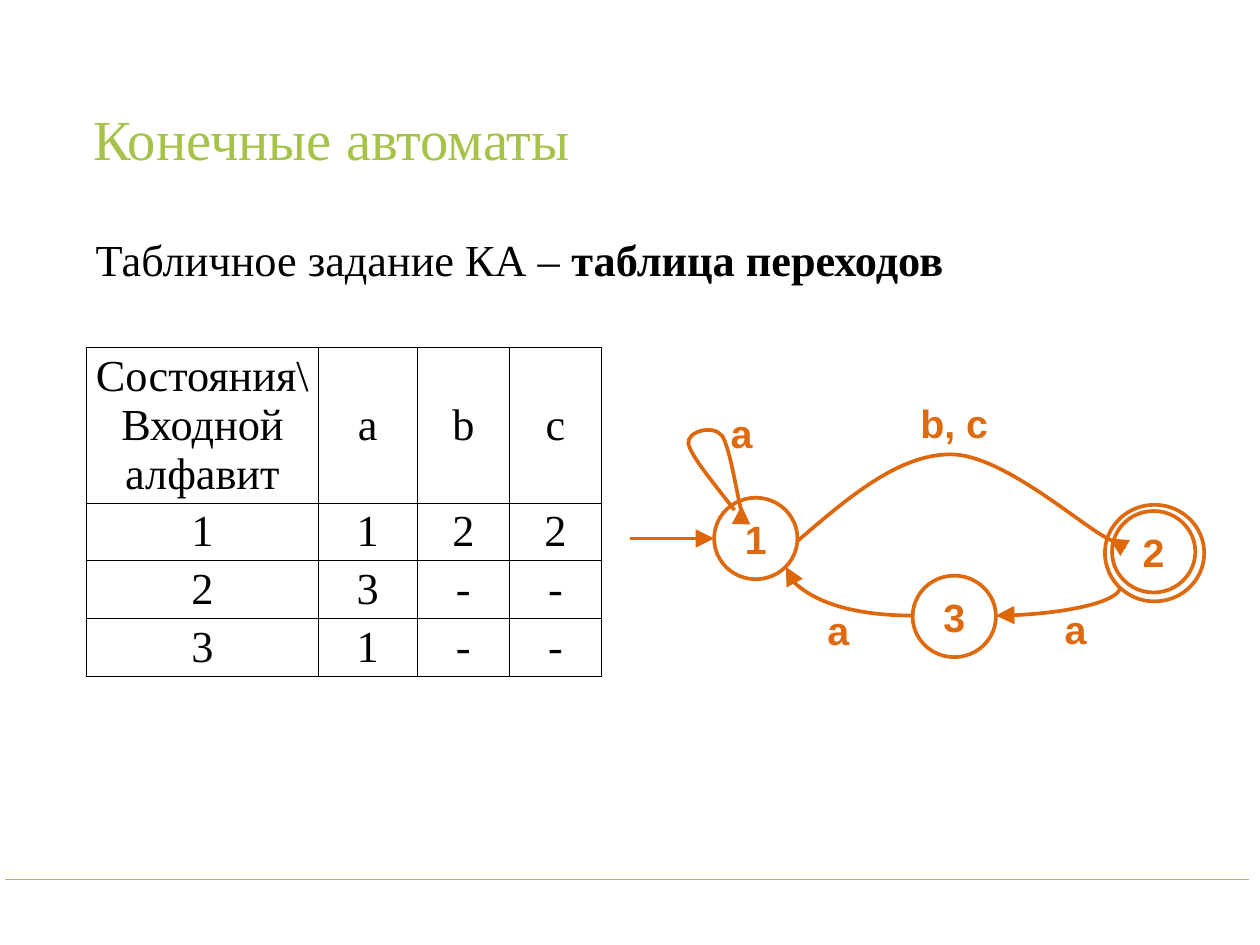
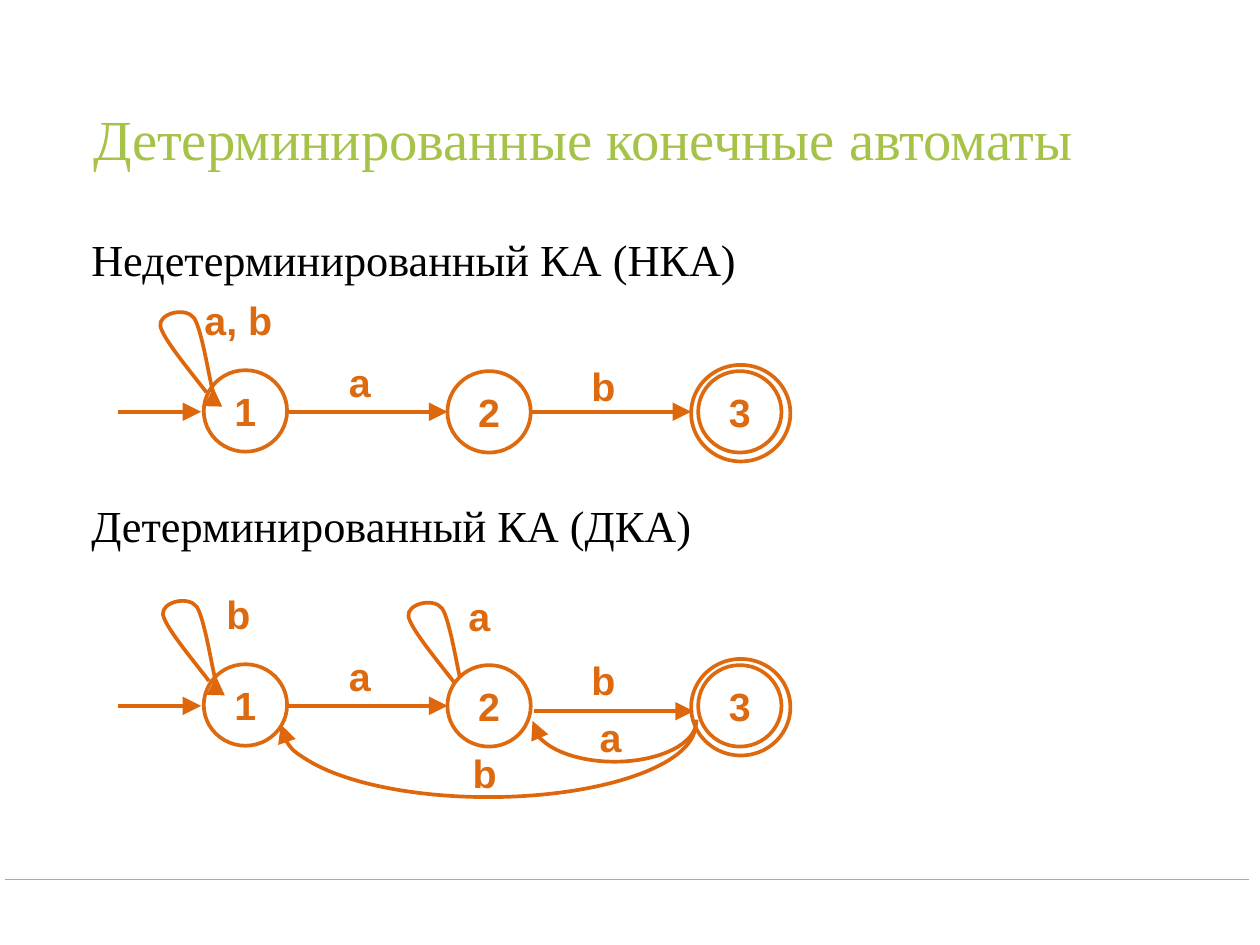
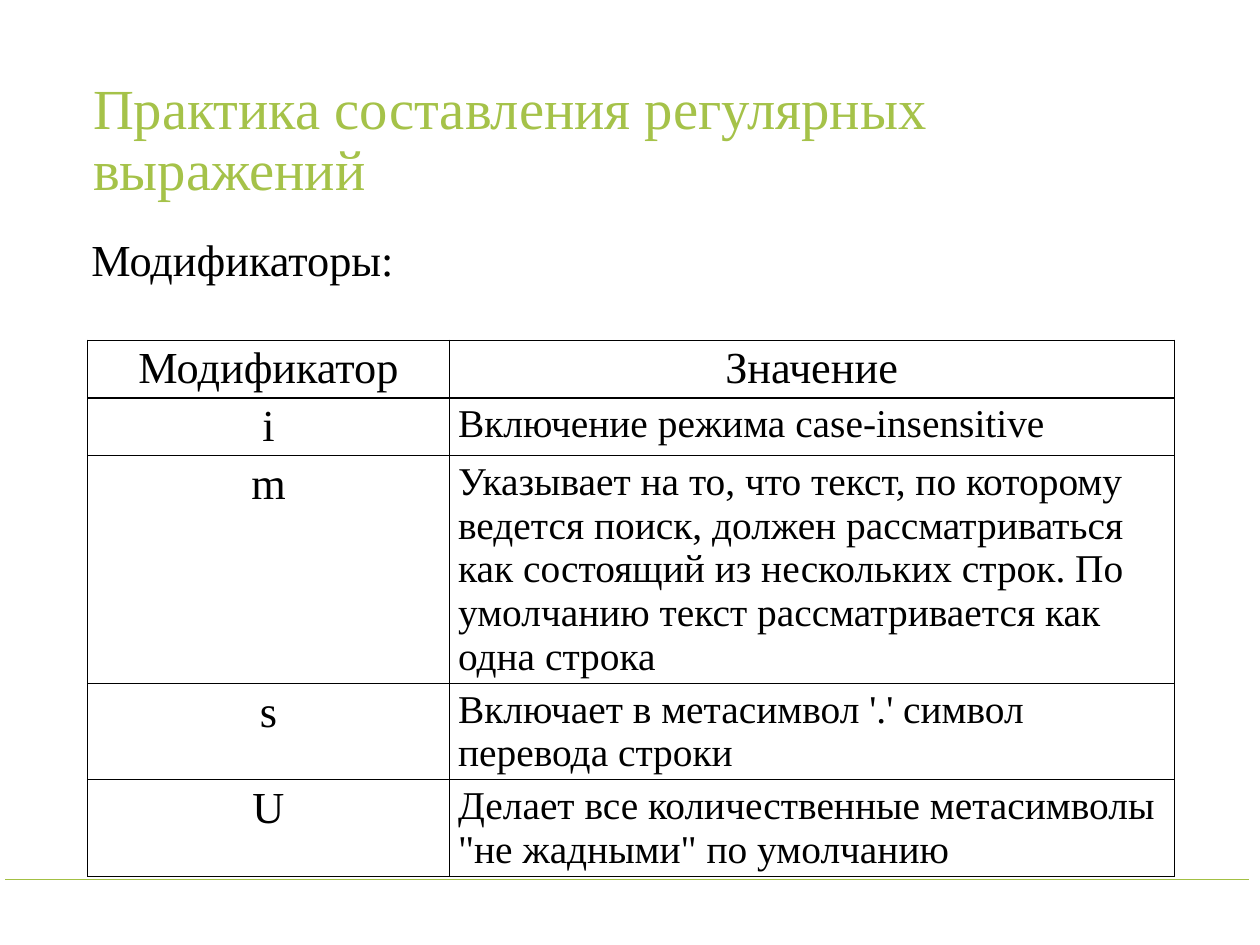
from lxml.etree import SubElement
from pptx import Presentation
from pptx.dml.color import RGBColor
from pptx.enum.shapes import MSO_CONNECTOR, MSO_SHAPE
from pptx.enum.text import MSO_ANCHOR, MSO_AUTO_SIZE, PP_ALIGN
from pptx.oxml.ns import qn
from pptx.util import Inches, Pt

# Shared style
GREEN = RGBColor(0xA5, 0xC2, 0x49)
RULE = RGBColor(0xA3, 0xC0, 0x44)
ORANGE = RGBColor(0xDE, 0x6A, 0x10)
EDGE = RGBColor(0xDE, 0x67, 0x0B)
BLACK = RGBColor(0, 0, 0)
WHITE = RGBColor(0xFF, 0xFF, 0xFF)
SERIF, SANS = "Times New Roman", "Arial"

# The grid has square cells of one inch
COLS, ROWS = 14.22, 10.67
NODE_W, NODE_H = 0.94, 0.92
LABEL_H = 0.65
LOOP = [(-0.24, -0.31), (-0.49, -0.61), (-0.52, -0.75),
        (-0.54, -0.89), (-0.24, -0.97), (-0.14, -0.84),
        (-0.05, -0.71), (0.04, -0.11), (0.08, 0.02),
        (0.12, 0.15), (0.10, 0.05), (0.08, -0.05)]


def grid(*cells):
    return [Inches(c) for c in cells]


# Text
def format_runs(p, size, color, font=SERIF, bold=False):
    for r in p.runs:
        r.font.name, r.font.size, r.font.bold = font, Pt(size), bold
        r.font.color.rgb = color


def set_frame(tf, inset, anchor):
    tf.word_wrap = True
    tf.auto_size = MSO_AUTO_SIZE.NONE
    tf.vertical_anchor = anchor
    tf.margin_left = tf.margin_right = Inches(inset)
    tf.margin_top = tf.margin_bottom = Inches(inset)


def place(sp, left, top, width, height):
    sp.left, sp.top, sp.width, sp.height = grid(left, top, width, height)


def state_text(sp, text):
    set_frame(sp.text_frame, 0.06, MSO_ANCHOR.MIDDLE)
    p = sp.text_frame.paragraphs[0]
    p.text = text
    p.alignment = PP_ALIGN.CENTER
    format_runs(p, 32, ORANGE, SANS, True)


def new_slide(prs, title, lines, body_left=0.96):
    """Add a slide with title, body and bottom rule; return it and its body."""
    s = prs.slides.add_slide(prs.slide_layouts[1])
    place(s.shapes.title, 0.98, 0.57, 12.27, 2.06)
    set_frame(s.shapes.title.text_frame, 0.07, MSO_ANCHOR.MIDDLE)
    p = s.shapes.title.text_frame.paragraphs[0]
    p.text = title
    p.alignment = PP_ALIGN.LEFT
    p.line_spacing = 0.9
    format_runs(p, 46, GREEN)

    straight(s, 0.06, 9.93, 14.1, 9.93, RULE, 1, arrow=False)

    body = s.placeholders[1]
    place(body, body_left, 2.55, 12.53, 7.83)
    tf = body.text_frame
    set_frame(tf, 0.07, MSO_ANCHOR.TOP)
    tf.text = "\n".join(lines)
    for i, p in enumerate(tf.paragraphs):
        p.space_before = Pt(173 if i else 3)
        pPr = p._p.get_or_add_pPr()
        pPr.set("marL", "0")
        pPr.set("indent", "0")
        SubElement(pPr, qn("a:buNone"))
        format_runs(p, 36, BLACK)
    return s, tf


# Lines and arrows
def stroke(sp, color=EDGE, width=3, arrow=False):
    sp.line.color.rgb = color
    sp.line.width = Pt(width)
    if arrow:
        SubElement(sp.line._get_or_add_ln(), qn("a:tailEnd"),
                   type="triangle", w="lg", len="lg")


def straight(s, x1, y1, x2, y2, color=EDGE, width=3, arrow=True):
    line = s.shapes.add_connector(MSO_CONNECTOR.STRAIGHT, *grid(x1, y1, x2, y2))
    stroke(line, color, width, arrow)
    SubElement(line._element.spPr, qn("a:effectLst"))


def curve(s, start, controls):
    """Draw an arrow of cubic curves, three control points to each."""
    builder = s.shapes.build_freeform(*grid(*start))
    builder.add_line_segments([grid(*point) for point in controls], close=False)
    sp = builder.convert_to_shape()
    outline = sp._element.spPr.find(".//" + qn("a:path"))
    segments = outline.findall(qn("a:lnTo"))
    for i in range(0, len(segments), 3):
        cubic = SubElement(outline, qn("a:cubicBezTo"))
        for segment in segments[i:i + 3]:
            cubic.append(segment[0])
            outline.remove(segment)
    sp.fill.background()
    sp.shadow.inherit = False
    stroke(sp, arrow=True)


def loop(s, x, y):
    curve(s, (x, y), [(x + dx, y + dy) for dx, dy in LOOP])


def midpoint(a, b):
    return (a[0] + b[0]) / 2, (a[1] + b[1]) / 2


def corner(s, start, end, bend):
    """Draw a quarter-turn arrow that bends toward one corner."""
    curve(s, start, [midpoint(start, bend), midpoint(bend, end), end])


def back_arc(s, left, top, width, height, begin):
    sp = s.shapes.add_shape(MSO_SHAPE.ARC, *grid(left, top, width, height))
    sp.adjustments[0], sp.adjustments[1] = begin, 0
    sp.rotation = 180
    sp.fill.background()
    sp.shadow.inherit = False
    stroke(sp, arrow=True)


# States and labels
def circle(s, left, top, width=NODE_W, height=NODE_H):
    sp = s.shapes.add_shape(MSO_SHAPE.OVAL, *grid(left, top, width, height))
    sp.fill.solid()
    sp.fill.fore_color.rgb = WHITE
    sp.shadow.inherit = False
    stroke(sp, ORANGE)
    return sp


def state(s, text, left, top, final=False):
    if final:
        circle(s, left - 0.08, top - 0.07, 1.12, 1.09)
    state_text(circle(s, left, top), text)


def label(s, text, left, top, width=1.04):
    box = s.shapes.add_textbox(*grid(left, top, width, LABEL_H))
    state_text(box, text)


def chain(s, top, b_shift=(0, 0)):
    """Draw start -> 1 -a-> 2 -b-> 3, with the states at the given row."""
    axis = top + 0.47
    dx, dy = b_shift
    state(s, "3", 7.88, top + 0.01, final=True)
    state(s, "1", 2.3, top)
    state(s, "2", 5.05, top + 0.01)
    straight(s, 1.33, axis, 2.27, axis)
    straight(s, 3.25, axis, 5.05, axis)
    straight(s, 6 + dx, axis + dy, 7.8 + dx, axis + dy)
    label(s, "a", 3.54, top - 0.2)
    label(s, "b", 6.29, top - 0.15)


# Tables
def add_border(cell):
    tcPr = cell._tc.get_or_add_tcPr()
    for i, side in enumerate(("lnL", "lnR", "lnT", "lnB")):
        ln = tcPr.makeelement(qn("a:" + side), {"w": str(Pt(1))})
        fill = SubElement(ln, qn("a:solidFill"))
        SubElement(fill, qn("a:srgbClr"), val=str(BLACK))
        tcPr.insert(i, ln)


def add_table(s, left, top, cols, rows, data, anchor, text_col=None):
    """Add a bordered table; text_col holds smaller, left-aligned text."""
    frame = s.shapes.add_table(len(rows), len(cols),
                               *grid(left, top, sum(cols), sum(rows)))
    table = frame.table
    table.first_row = table.horz_banding = False
    for column, width in zip(table.columns, grid(*cols)):
        column.width = width
    for row, height in zip(table.rows, grid(*rows)):
        row.height = height
    for i, values in enumerate(data):
        for j, value in enumerate(values):
            cell = table.cell(i, j)
            cell.fill.background()
            cell.vertical_anchor = anchor
            add_border(cell)
            is_text = i > 0 and j == text_col
            p = cell.text_frame.paragraphs[0]
            p.text = value
            p.alignment = PP_ALIGN.LEFT if is_text else PP_ALIGN.CENTER
            format_runs(p, 32 if is_text else 36, BLACK)


# Slides
def transition_table(prs):
    s, tf = new_slide(prs, "Конечные автоматы",
                      ["Табличное задание КА – "], body_left=1.01)
    p = tf.paragraphs[0]
    r = p.add_run()
    r.text = "таблица переходов"
    format_runs(p, 36, BLACK)
    r.font.bold = True

    add_table(s, 0.98, 3.92, [2.61, 1.12, 1.04, 1.04], [1.76] + [0.65] * 3,
              [["Состояния\\Входной алфавит", *"abc"],
               "1122", "23--", "31--"], MSO_ANCHOR.MIDDLE)

    state(s, "2", 12.55, 5.77, final=True)
    state(s, "1", 8.06, 5.62)
    loop(s, 8.29, 5.76)
    curve(s, (9, 6.11), [(9.57, 5.62), (10.14, 5.13), (10.73, 5.13),
                         (11.31, 5.13), (12.2, 5.93), (12.5, 6.08),
                         (12.8, 6.24), (12.66, 6.16), (12.52, 6.08)])
    straight(s, 7.11, 6.08, 8.06, 6.08)
    state(s, "3", 10.3, 6.5)
    corner(s, (12.64, 6.63), (11.24, 6.95), (12.64, 6.95))
    corner(s, (10.3, 6.95), (8.87, 6.4), (8.87, 6.95))
    label(s, "a", 8.06, 4.56, 0.62)
    label(s, "b, c", 10.25, 4.45)
    label(s, "a", 11.62, 6.78)
    label(s, "a", 8.94, 6.79)


def deterministic(prs):
    s, _ = new_slide(prs, "Детерминированные конечные автоматы",
                     ["Недетерминированный КА (НКА)",
                      "Детерминированный КА (ДКА)"])
    # Nondeterministic automaton
    chain(s, 4.18)
    loop(s, 2.33, 4.43)
    label(s, "a, b", 2.22, 3.29, 0.94)
    # Deterministic automaton
    loop(s, 5.13, 7.71)
    chain(s, 7.5, b_shift=(0.03, 0.06))
    loop(s, 2.36, 7.69)
    label(s, "b", 2.22, 6.61, 0.94)
    label(s, "a", 4.94, 6.63, 0.94)
    back_arc(s, 6.01, 7.68, 1.85, 0.92, 107.47)
    label(s, "a", 6.37, 7.99)
    back_arc(s, 3.17, 7.36, 4.68, 1.64, 108.7)
    label(s, "b", 4.95, 8.4)


def modifiers(prs):
    s, _ = new_slide(prs, "Практика составления регулярных выражений",
                     ["Модификаторы:"])
    add_table(s, 0.99, 3.84, [4.08, 8.18], [0.65, 0.65, 2.57, 1.08, 1.09], [
        ("Модификатор", "Значение"),
        ("i", "Включение режима case-insensitive"),
        ("m", "Указывает на то, что текст, по которому ведется поиск, должен "
              "рассматриваться как состоящий из нескольких строк. По "
              "умолчанию текст рассматривается как одна строка"),
        ("s", "Включает в метасимвол '.' символ перевода строки"),
        ("U", "Делает все количественные метасимволы \"не жадными\" "
              "по умолчанию"),
    ], MSO_ANCHOR.TOP, text_col=1)


def main():
    prs = Presentation()
    prs.slide_width, prs.slide_height = grid(COLS, ROWS)
    transition_table(prs)
    deterministic(prs)
    modifiers(prs)
    prs.save("out.pptx")


main()
